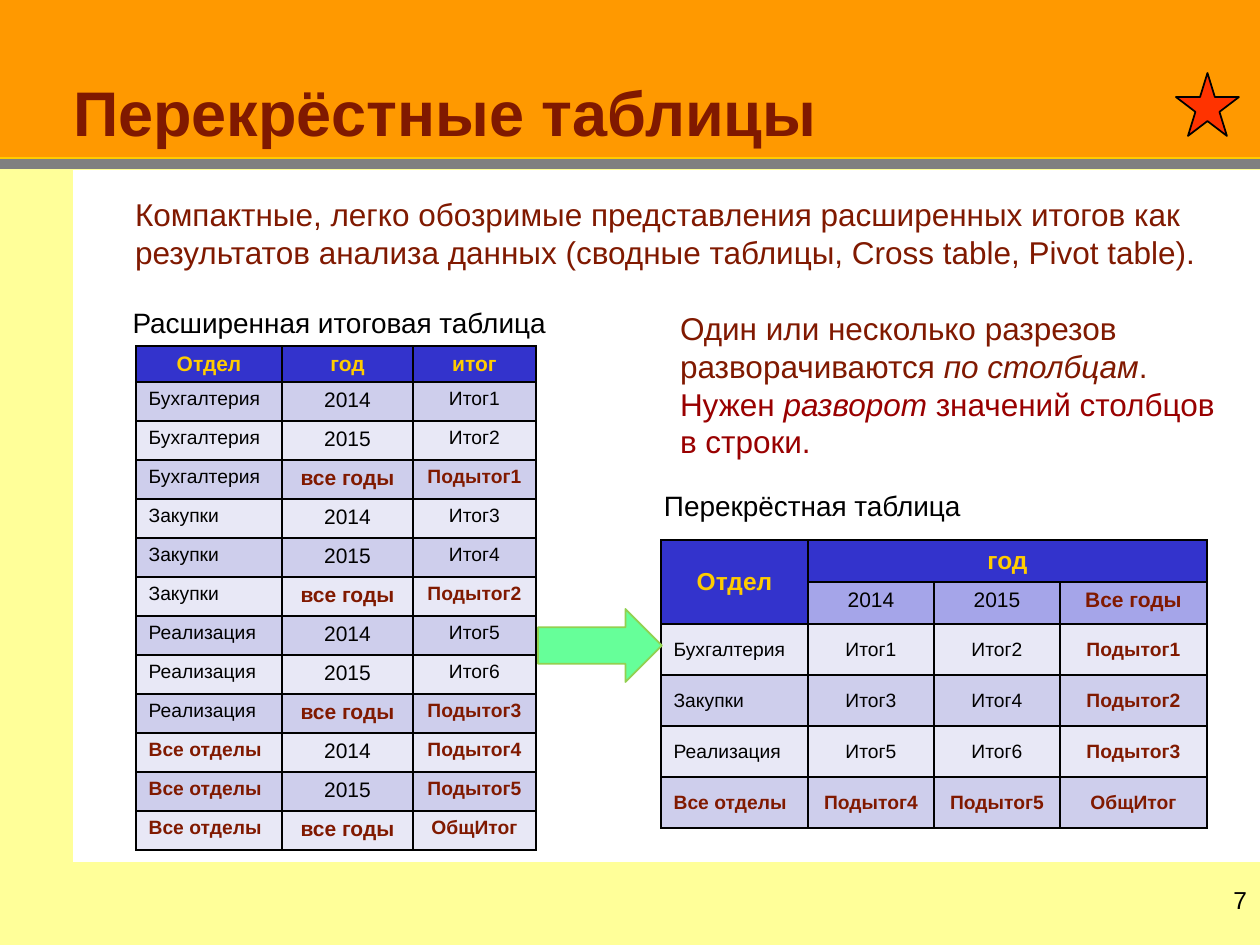
import lxml.etree
import pptx
import pptx.dml.color
import pptx.enum.shapes
import pptx.enum.text
import pptx.oxml.ns
import pptx.util

ALIGN = pptx.enum.text.PP_ALIGN
ANCHOR = pptx.enum.text.MSO_ANCHOR
SHAPE = pptx.enum.shapes.MSO_SHAPE
PIXELS_PER_INCH = 126
BROWN, RED, BLACK, GOLD = "801900", "990000", "000000", "FFCC00"
ORANGE, HEADER, SUBHEADER = "FF9900", "3333CC", "A5A5E9"
BANDS = ("E8E8F6", "CECEEC")


def px(length):
    return pptx.util.Emu(round(length * 914400 / PIXELS_PER_INCH))


def color(code):
    return pptx.dml.color.RGBColor.from_string(code)


def add_child(parent, tag, **attributes):
    return lxml.etree.SubElement(parent, pptx.oxml.ns.qn(tag), attributes)


def paint(item, code):
    item.fill.solid()
    item.fill.fore_color.rgb = color(code)


def place(shape, left, top, width, height):
    shape.left, shape.top = px(left), px(top)
    shape.width, shape.height = px(width), px(height)


def set_frame(frame, anchor, top=6, right=13):
    frame.word_wrap = True
    frame.auto_size = pptx.enum.text.MSO_AUTO_SIZE.NONE
    frame.vertical_anchor = anchor
    frame.margin_left, frame.margin_right = px(13), px(right)
    frame.margin_top, frame.margin_bottom = px(top), px(6)


def set_font(font, size, code, bold=False):
    font.name, font.size, font.bold = "Arial", pptx.util.Pt(size), bold
    font.color.rgb = color(code)


def format_paragraph(para, size, code, bold=False, align=ALIGN.LEFT, indent=0, before=0):
    para.alignment = align
    para.line_spacing = 1.0
    para.space_before = pptx.util.Pt(before)
    properties = para._p.get_or_add_pPr()
    properties.set("marL", str(px(indent)))
    properties.set("indent", "0")
    add_child(properties, "a:buNone")
    set_font(para.font, size, code, bold)


def add_shape(page, kind, bounds, fill, line=None):
    shape = page.shapes.add_shape(kind, *map(px, bounds))
    shape.shadow.inherit = False
    paint(shape, fill)
    if line:
        shape.line.color.rgb = color(line)
        shape.line.width = pptx.util.Pt(1)
    else:
        shape.line.fill.background()
    return shape


def add_label(page, bounds, text, size, align=ALIGN.LEFT):
    box = page.shapes.add_textbox(*map(px, bounds))
    set_frame(box.text_frame, ANCHOR.TOP)
    para = box.text_frame.paragraphs[0]
    para.text = text
    format_paragraph(para, size, BLACK, align=align)


def add_background(page):
    page.background.fill.solid()
    page.background.fill.fore_color.rgb = color("B2B2B2")
    bands = [
        ((0, 0, 1260, 158), ORANGE),
        ((0, 158, 1260, 787), "FFFF99"),
        ((0, 159, 1260, 10), "808080"),
    ]
    parts = [add_shape(page, SHAPE.RECTANGLE, bounds, fill) for bounds, fill in bands]
    rule = page.shapes.add_connector(
        pptx.enum.shapes.MSO_CONNECTOR.STRAIGHT, 0, px(158), px(1260), px(158))
    rule.line.color.rgb = color(GOLD)
    rule.line.width = pptx.util.Pt(1)
    add_child(rule._element.spPr, "a:effectLst")
    # The placeholders stay in front of the background
    for part in parts + [rule]:
        page.shapes.title.element.addprevious(part.element)


def fill_title(title):
    place(title, 0, 8, 1260, 147)
    paint(title, ORANGE)
    set_frame(title.text_frame, ANCHOR.BOTTOM)
    para = title.text_frame.paragraphs[0]
    para.text = "Перекрёстные таблицы"
    format_paragraph(para, 36, BROWN, bold=True, indent=60)


def fill_body(body):
    place(body, 73, 170, 1188, 692)
    paint(body, "FFFFFF")
    frame = body.text_frame
    set_frame(frame, ANCHOR.TOP, top=25, right=25)
    summary = frame.paragraphs[0]
    summary.text = ("Компактные, легко обозримые представления расширенных итогов как "
                    "результатов анализа данных (сводные таблицы, Cross table, Pivot table).")
    format_paragraph(summary, 18, BROWN, indent=49)

    cuts = frame.add_paragraph()
    cuts.text = "Один или несколько разрезов"
    format_paragraph(cuts, 18, BROWN, indent=594, before=22)

    turning = frame.add_paragraph()
    format_paragraph(turning, 18, BROWN, indent=594)
    spans = [
        ("разворачиваются ", BROWN, False),
        ("по столбцам", BROWN, True),
        (".", BROWN, False),
        (" Нужен ", RED, False),
        ("разворот", RED, True),
        (" значений столбцов", RED, False),
    ]
    for text, code, italic in spans:
        span = turning.add_run()
        span.text = text
        span.font.italic = italic
        span.font.color.rgb = color(code)
    turning.add_line_break()
    span = turning.add_run()
    span.text = "в строки."
    span.font.color.rgb = color(RED)


def add_grid(page, left, top, widths, heights):
    frame = page.shapes.add_table(len(heights), len(widths), px(left), px(top),
                                  px(sum(widths)), px(sum(heights)))
    for column, width in zip(frame.table.columns, widths):
        column.width = px(width)
    for row, height in zip(frame.table.rows, heights):
        row.height = px(height)
    return frame.table


def fill_cell(cell, text, fill, size, code=None, align=ALIGN.CENTER, anchor=ANCHOR.TOP):
    properties = cell._tc.get_or_add_tcPr()
    for side in "LRTB":
        border = add_child(properties, "a:ln" + side, w="12700")
        add_child(add_child(border, "a:solidFill"), "a:srgbClr", val=BLACK)
    paint(cell, fill)
    cell.vertical_anchor = anchor
    is_total = text.lower().startswith(("все ", "подытог", "общитог"))
    code = code or (BROWN if is_total else BLACK)
    para = cell.text_frame.paragraphs[0]
    para.text = text
    format_paragraph(para, size, code, bold=is_total or code == GOLD, align=align)


def add_summary_table(page):
    departments = ["Бухгалтерия", "Закупки", "Реализация", "Все отделы"]
    years = ["2014", "2015", "все годы"]
    totals = ["Итог1", "Итог2", "Подытог1", "Итог3", "Итог4", "Подытог2",
              "Итог5", "Итог6", "Подытог3", "Подытог4", "Подытог5", "ОбщИтог"]
    table = add_grid(page, 136, 346, [146, 131, 123], [36] + [39] * len(totals))
    for column, text in enumerate(["Отдел", "год", "итог"]):
        fill_cell(table.cell(0, column), text, HEADER, 12, GOLD)
    for row, total in enumerate(totals, 1):
        group, year = divmod(row - 1, len(years))
        fill = BANDS[row % 2]
        fill_cell(table.cell(row, 0), departments[group], fill, 11, align=ALIGN.LEFT)
        fill_cell(table.cell(row, 1), years[year], fill, 12)
        fill_cell(table.cell(row, 2), total, fill, 11)


def add_cross_table(page):
    rows = [
        ["Бухгалтерия", "Итог1", "Итог2", "Подытог1"],
        ["Закупки", "Итог3", "Итог4", "Подытог2"],
        ["Реализация", "Итог5", "Итог6", "Подытог3"],
        ["Все отделы", "Подытог4", "Подытог5", "ОбщИтог"],
    ]
    table = add_grid(page, 661, 540, [147, 126, 126, 147], [42, 42] + [51] * len(rows))
    table.cell(0, 0).merge(table.cell(1, 0))
    table.cell(0, 1).merge(table.cell(0, 3))
    for column, text in enumerate(["Отдел", "год"]):
        fill_cell(table.cell(0, column), text, HEADER, 14, GOLD, anchor=ANCHOR.MIDDLE)
    for column, text in enumerate(["2014", "2015", "Все годы"], 1):
        fill_cell(table.cell(1, column), text, SUBHEADER, 12)
    for row, texts in enumerate(rows):
        for column, text in enumerate(texts):
            align = ALIGN.CENTER if column else ALIGN.LEFT
            fill_cell(table.cell(row + 2, column), text, BANDS[row % 2], 11,
                      align=align, anchor=ANCHOR.MIDDLE)


def main():
    deck = pptx.Presentation()
    deck.slide_width, deck.slide_height = px(1260), px(945)
    page = deck.slides.add_slide(deck.slide_layouts[1])

    # Background, title and body text
    add_background(page)
    fill_title(page.shapes.title)
    fill_body(page.placeholders[1])
    add_label(page, (1130, 879, 130, 66), "7", 14, ALIGN.RIGHT)
    add_shape(page, SHAPE.STAR_5_POINT, (1176, 73, 63, 63), "FF3300", BLACK)

    # Tables with their captions, joined by the arrow
    add_summary_table(page)
    add_label(page, (116, 300, 443, 47), "Расширенная итоговая таблица", 16, ALIGN.RIGHT)
    add_cross_table(page)
    add_shape(page, SHAPE.RIGHT_ARROW, (538, 609, 124, 73), "66FF99", "92D050")
    add_label(page, (651, 483, 536, 47), "Перекрёстная таблица", 16)

    deck.save("out.pptx")


if __name__ == "__main__":
    main()
